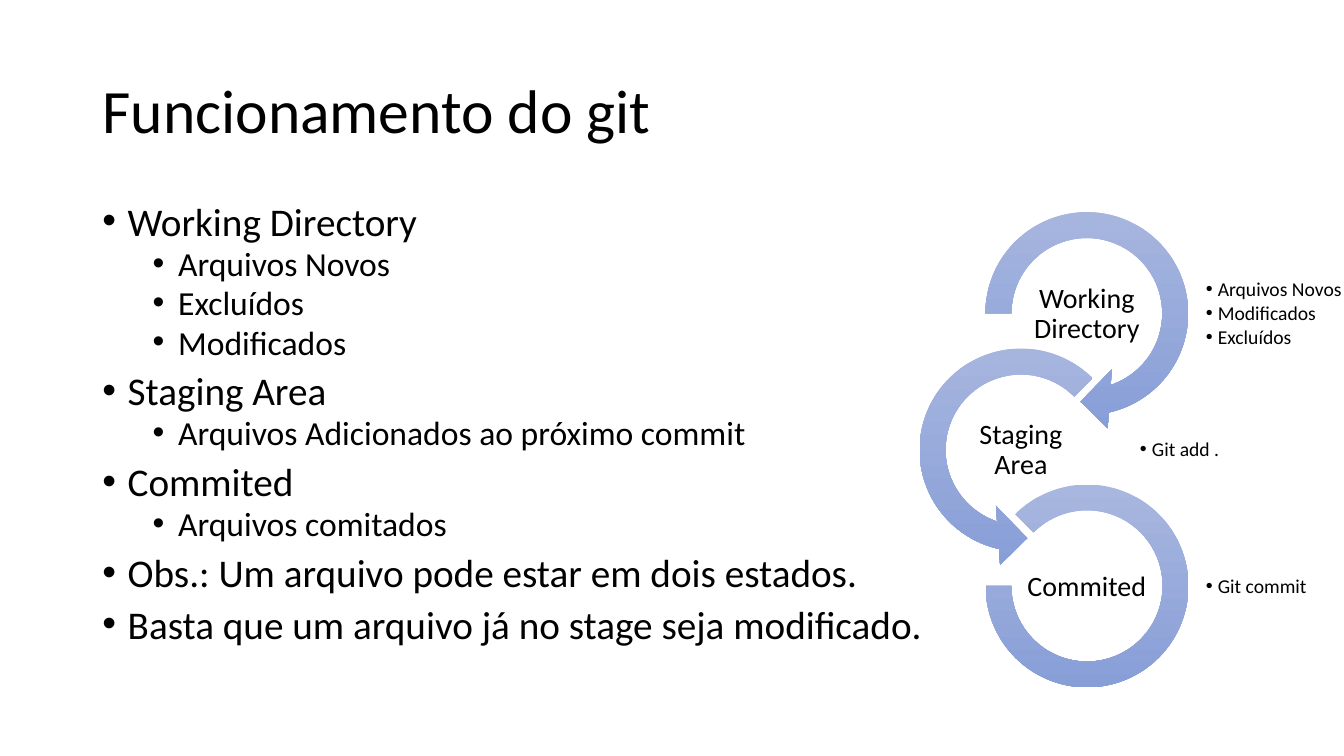
import pptx
import pptx.util
import pptx.dml.color
import pptx.enum.shapes
import pptx.enum.text
import lxml.etree
from dataclasses import dataclass

Cm = pptx.util.Cm
Pt = pptx.util.Pt
Kind = pptx.enum.shapes.MSO_SHAPE
Align = pptx.enum.text.PP_ALIGN
Anchor = pptx.enum.text.MSO_ANCHOR


@dataclass(frozen=True)
class Theme:
    font: str = "Calibri"
    ink: str = "000000"
    light: str = "A8B7DF"
    dark: str = "889ED7"
    title: int = 44
    topic: int = 28
    item: int = 24
    label: int = 20
    note: int = 14


theme = Theme()

topics = [
    ("Working Directory", ["Arquivos Novos", "Excluídos", "Modificados"]),
    ("Staging Area", ["Arquivos Adicionados ao próximo commit"]),
    ("Commited", ["Arquivos comitados"]),
    ("Obs.: Um arquivo pode estar em dois estados.", []),
    ("Basta que um arquivo já no stage seja modificado.", []),
]

stages = [
    ("Working Directory", ["Arquivos Novos", "Modificados", "Excluídos"],
     Kind.CIRCULAR_ARROW, [0.11, 11.42, 45, 108, 0.125], (0, 0, 5.94)),
    ("Staging Area", ["Git add ."],
     Kind.LEFT_CIRCULAR_ARROW, [0.11, 11.42, 63, 189, 0.125], (0, 0, 5.94)),
    ("Commited", ["Git commit"],
     Kind.BLOCK_ARC, [135, 108, 0.127], (0.42, 0.4, 5.11)),
]


def color(code):
    return pptx.dml.color.RGBColor.from_string(code)


def style(para, size, lead, before=0, after=0):
    para.font.name = theme.font
    para.font.size = Pt(size)
    para.font.color.rgb = color(theme.ink)
    para.line_spacing = lead
    para.space_before = Pt(before)
    para.space_after = Pt(after)


def bullet(para, left, hang):
    props = para._p.get_or_add_pPr()
    props.set("marL", str(Cm(left)))
    props.set("indent", str(-Cm(hang)))
    tag = pptx.oxml.ns.qn
    lxml.etree.SubElement(props, tag("a:buFont")).set("typeface", "Arial")
    lxml.etree.SubElement(props, tag("a:buChar")).set("char", "•")


def fill(frame, lines):
    frame.text = "\n".join(lines)
    return frame.paragraphs


def text(slide, box, inset=None):
    frame = slide.shapes.add_textbox(*map(Cm, box)).text_frame
    frame.word_wrap = True
    if inset is not None:
        frame.margin_left = frame.margin_right = Cm(inset)
        frame.margin_top = frame.margin_bottom = Cm(inset)
        frame.vertical_anchor = Anchor.MIDDLE
    return frame


def head(slide, box, words):
    title = slide.shapes.title
    title.left, title.top, title.width, title.height = map(Cm, box)
    frame = title.text_frame
    frame.auto_size = pptx.enum.text.MSO_AUTO_SIZE.NONE
    frame.vertical_anchor = Anchor.MIDDLE
    para = fill(frame, [words])[0]
    para.alignment = Align.LEFT
    style(para, theme.title, 0.9)


def outline(slide, box, topics):
    rows = []
    for topic, items in topics:
        rows.append((topic, 0))
        rows += [(item, 1) for item in items]
    paras = fill(text(slide, box), [words for words, level in rows])
    for para, (words, level) in zip(paras, rows):
        para.level = level
        style(para, (theme.topic, theme.item)[level], 0.8, (10, 5)[level])
        bullet(para, 0.64 + 1.27 * level, 0.64)


def ring(slide, box, kind, bends):
    shape = slide.shapes.add_shape(kind, *map(Cm, box))
    shape.shadow.inherit = False
    shape.line.fill.background()
    for place, bend in enumerate(bends):
        shape.adjustments[place] = bend
    shape.fill.gradient()
    shape.fill.gradient_angle = 270
    for stop, code in zip(shape.fill.gradient_stops, (theme.light, theme.dark)):
        stop.color.rgb = color(code)


def cycle(slide, box, stages):
    left, top, width, height = box
    for row, (name, notes, kind, bends, inner) in enumerate(stages):
        x = left + (1.66 if row % 2 == 0 else 0)
        y = top + 3.44 * row
        dx, dy, size = inner
        ring(slide, (x + dx, y + dy, size, size), kind, bends)
        label = fill(text(slide, (x + 1.32, y + 2.16, 3.3, 1.65), 0.03), [name])[0]
        label.alignment = Align.CENTER
        style(label, theme.label, 0.9)
        for para in fill(text(slide, (x + 5.94, y + 1.78, 3.56, 2.39), 0.03), notes):
            style(para, theme.note, 0.9, after=2)
            bullet(para, 0.3, 0.3)


deck = pptx.Presentation()
deck.slide_width = Cm(33.87)
deck.slide_height = Cm(19.05)
slide = deck.slides.add_slide(deck.slide_layouts.get_by_name("Title Only"))
head(slide, (2.33, 1.01, 29.21, 3.68), "Funcionamento do git")
outline(slide, (2.33, 5.07, 29.21, 12.09), topics)
cycle(slide, (22.76, 4.93, 11.16, 12.82), stages)
deck.save("out.pptx")
